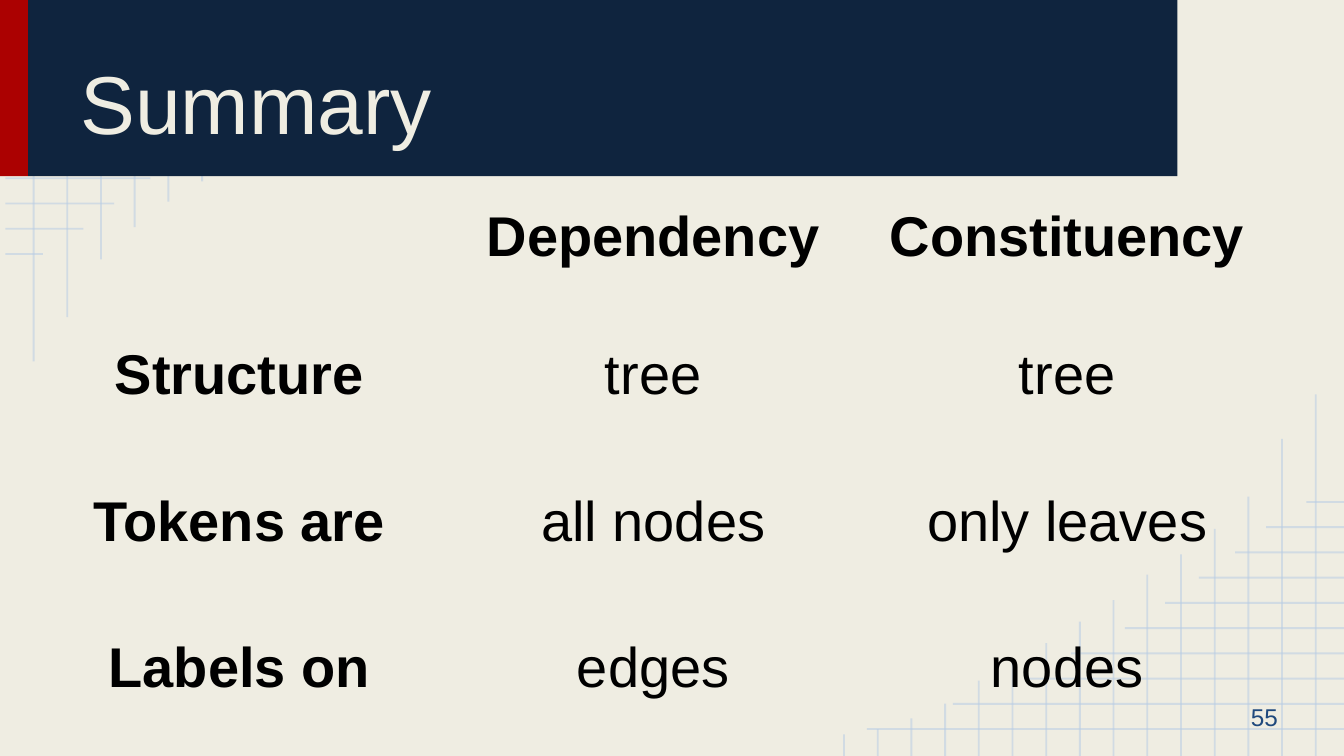
from lxml import etree
from pptx import Presentation
from pptx.dml.color import RGBColor
from pptx.enum.shapes import MSO_CONNECTOR, MSO_SHAPE
from pptx.enum.text import MSO_ANCHOR, PP_ALIGN
from pptx.oxml.ns import qn
from pptx.util import Inches, Pt

LINE = MSO_CONNECTOR.STRAIGHT
RECT = MSO_SHAPE.RECTANGLE
LEFT, CENTER = PP_ALIGN.LEFT, PP_ALIGN.CENTER
TOP, MIDDLE, BOTTOM = MSO_ANCHOR.TOP, MSO_ANCHOR.MIDDLE, MSO_ANCHOR.BOTTOM

WIDTH = 10
HEIGHT = WIDTH * 9 / 16

COLORS = {
    "paper": "EFEDE2",
    "grid": "B7CCE4",
    "red": "AB0101",
    "navy": "0F243E",
    "black": "000000",
    "number": "1F497D",
}
FONT = "Arial"
NO_TABLE_STYLE = "{2D5ABB26-0587-4C30-8999-92F81FD0307C}"

# Corner grid: where each line ends, counted from the top left corner
GRID_START = 0.04
ROW_ENDS = [3.59, 2.95, 2.41, 2.07, 1.67, 1.37, 1.12, 0.85, 0.62, 0.32]
COLUMN_ENDS = [2.69, 2.36, 1.93, 1.69, 1.5, 1.35, 1.16, 1,
               0.84, 0.72, 0.56, 0.39, 0.28, 0.2, 0.16]

ROWS = [
    ["", "Dependency", "Constituency"],
    ["Structure", "tree", "tree"],
    ["Tokens are", "all nodes", "only leaves"],
    ["Labels on", "edges", "nodes"],
]


def rgb(name):
    return RGBColor.from_string(COLORS[name])


def set_text(tf, text, size=30, color="black", bold=False, align=LEFT, spacing=1):
    p = tf.paragraphs[0]
    p.alignment = align
    p.line_spacing = spacing
    r = p.add_run()
    r.text = text
    r.font.name = FONT
    r.font.size = Pt(size)
    r.font.bold = bold
    r.font.color.rgb = rgb(color)


def add_text(s, x, y, w, h, text, anchor=MIDDLE, **fmt):
    tf = s.shapes.add_textbox(Inches(x), Inches(y), Inches(w), Inches(h)).text_frame
    tf.word_wrap = True
    tf.vertical_anchor = anchor
    tf.margin_left = tf.margin_right = Inches(0.1)
    tf.margin_top = tf.margin_bottom = Inches(0.1)
    set_text(tf, text, **fmt)


def add_rect(s, x, y, w, h, color):
    sp = s.shapes.add_shape(RECT, Inches(x), Inches(y), Inches(w), Inches(h))
    sp.shadow.inherit = False
    sp.fill.solid()
    sp.fill.fore_color.rgb = rgb(color)
    sp.line.fill.background()


def add_grid_line(s, x1, y1, x2, y2):
    line = s.shapes.add_connector(LINE, Inches(x1), Inches(y1), Inches(x2), Inches(y2))
    line.line.width = Pt(1)
    line.line.color.rgb = rgb("grid")
    sp_pr = line._element.spPr
    color = sp_pr.find(".//" + qn("a:srgbClr"))
    etree.SubElement(color, qn("a:alpha")).set("val", "53000")
    etree.SubElement(sp_pr, qn("a:effectLst"))


def add_corner_grid(s, x0, y0, sign):
    """Grid growing from the corner (x0, y0); sign -1 turns it by 180 degrees."""
    def draw(x1, y1, x2, y2):
        add_grid_line(s, x0 + sign * x1, y0 + sign * y1, x0 + sign * x2, y0 + sign * y2)

    for i, end in enumerate(ROW_ENDS):
        y = 0.2 + i * 1.69 / 9
        draw(GRID_START, y, end, y)
    for i, end in enumerate(COLUMN_ENDS):
        x = 0.25 + i * 3.51 / 14
        draw(x, end, x, 0)


def add_summary_table(s, x, y, col_width, row_heights):
    frame = s.shapes.add_table(len(ROWS), len(ROWS[0]), Inches(x), Inches(y),
                               Inches(col_width * len(ROWS[0])), Inches(sum(row_heights)))
    table = frame.table
    table.first_row = table.horz_banding = False
    table._tbl.tblPr.find(qn("a:tableStyleId")).text = NO_TABLE_STYLE
    for col in table.columns:
        col.width = Inches(col_width)
    for i, (row, height) in enumerate(zip(ROWS, row_heights)):
        table.rows[i].height = Inches(height)
        for j, text in enumerate(row):
            cell = table.cell(i, j)
            cell.fill.background()
            cell.vertical_anchor = TOP
            cell.margin_left = cell.margin_right = Inches(0.1)
            cell.margin_top = cell.margin_bottom = Inches(0.1)
            if text:
                set_text(cell.text_frame, text, bold=i == 0 or j == 0,
                         align=CENTER, spacing=1.5 if i else 1)


def main():
    prs = Presentation()
    prs.slide_width, prs.slide_height = Inches(WIDTH), Inches(HEIGHT)
    s = prs.slides.add_slide(prs.slide_layouts[6])
    s.background.fill.solid()
    s.background.fill.fore_color.rgb = rgb("paper")

    # Decorative grids in opposite corners
    add_corner_grid(s, 0, 0, 1)
    add_corner_grid(s, WIDTH + GRID_START, HEIGHT, -1)

    # Title band
    add_rect(s, 0, -0.01, 0.21, 1.32, "red")
    add_rect(s, 0.21, -0.01, 8.55, 1.32, "navy")
    add_text(s, 0.5, 0.11, 8, 1.11, "Summary", anchor=BOTTOM, size=44, color="paper")

    # Comparison table
    add_summary_table(s, 0.24, 1.43, 3.08, [0.8, 1.09, 1.09, 1.09])

    # Slide number
    add_text(s, 9.21, 5.05, 0.6, 0.57, "55", size=13, color="number")

    prs.save("out.pptx")


if __name__ == "__main__":
    main()
